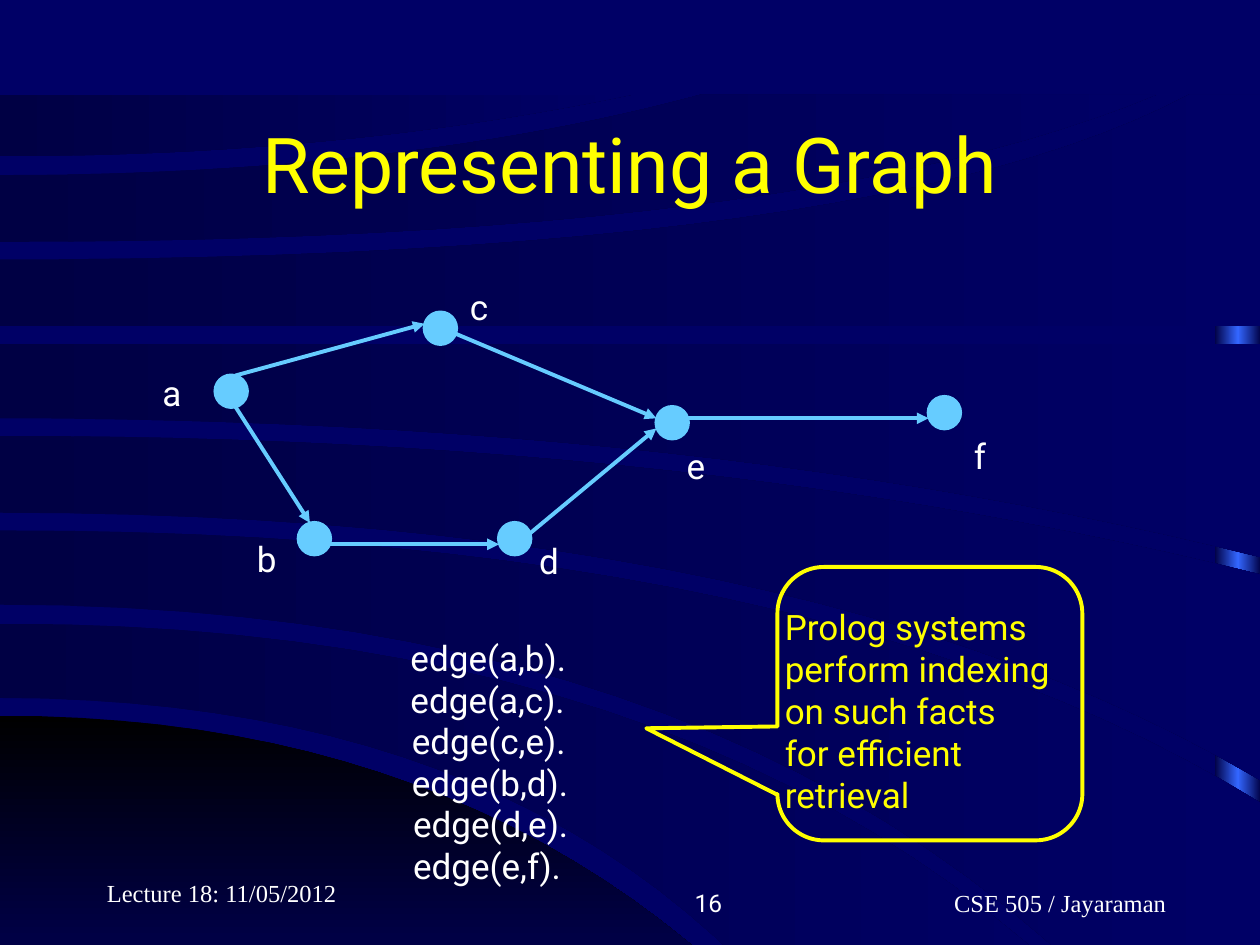
from lxml.etree import SubElement
from pptx import Presentation
from pptx.dml.color import RGBColor
from pptx.enum.shapes import MSO_CONNECTOR as Line, MSO_SHAPE as Shape
from pptx.enum.text import MSO_ANCHOR as Anchor, PP_ALIGN as Align
from pptx.oxml.ns import qn
from pptx.util import Inches, Pt

NAVY = RGBColor(0x00, 0x00, 0x66)
DARK = RGBColor(0x00, 0x00, 0x44)
BLUE = RGBColor(0x33, 0x66, 0xFF)
BLACK = RGBColor(0x00, 0x00, 0x00)
SKY = RGBColor(0x66, 0xCC, 0xFF)
YELLOW = RGBColor(0xFF, 0xFF, 0x00)
WHITE = RGBColor(0xFF, 0xFF, 0xFF)
SANS, SERIF = "Roboto", "Times New Roman"

deck = Presentation()
deck.slide_width, deck.slide_height = Inches(10), Inches(7.5)
slide = deck.slides.add_slide(deck.slide_layouts[5])
shapes = slide.shapes
slide.background.fill.solid()
slide.background.fill.fore_color.rgb = NAVY


def shade(shape, angle, *colors):
    """Fill with evenly spaced gradient stops and drop line and shadow."""
    shape.shadow.inherit = False
    shape.line.fill.background()
    shape.fill.gradient()
    shape.fill.gradient_angle = angle
    stops = shape._element.spPr.find(qn("a:gradFill")).find(qn("a:gsLst"))
    stops.clear()
    for i, color in enumerate(colors):
        stop = SubElement(stops, qn("a:gs"), pos=str(100000 * i // (len(colors) - 1)))
        SubElement(stop, qn("a:srgbClr"), val=str(color))


def write(box, lines, size=20, color=WHITE, font=SANS, align=Align.LEFT,
          anchor=Anchor.TOP, wrap=False):
    frame = box.text_frame
    frame.word_wrap = wrap
    frame.vertical_anchor = anchor
    for i, line in enumerate(lines):
        par = frame.add_paragraph() if i else frame.paragraphs[0]
        par.alignment = align
        run = par.add_run()
        run.text = line
        run.font.size = Pt(size)
        run.font.name = font
        run.font.color.rgb = color


# Backdrop: a glowing strip behind sweeping bands
strip = shapes.add_shape(Shape.RECTANGLE, Inches(9.64), Inches(0.77), Inches(0.37), Inches(7.5))
shade(strip, 0, DARK, BLUE, DARK)

# Top and bottom edge of each band, as quadratic curves that leave the
# left side level: start y, pull x, end x, end y
bands = [
    ((5.68, 3.94, 6.29, 8.27), (8.27, 3, 6.29, 8.27)),
    ((4.95, 5.9, 8.94, 8.25), (5.54, 4.3, 6.43, 8.25)),
    ((4.21, 6.5, 10, 6.37), (4.8, 6, 9.1, 8.25)),
    ((3.46, 5.6, 10, 4.56), (4.07, 6.4, 10, 6.19)),
    ((2.73, 5, 10, 2.73), (3.32, 5.6, 10, 4.42)),
    ((2.06, 7, 9.44, 0.75), (2.59, 5, 10, 2.59)),
    ((1.39, 3.2, 5.57, 0.75), (1.92, 6.4, 9.18, 0.75)),
    ((0.75, 2.5, 5.02, 0.75), (1.24, 2.7, 5.02, 0.75)),
]
STEPS = 24
for i, band in enumerate(bands):
    top, base = [
        [(2 * t * (1 - t) * pull + t * t * end, y + t * t * (stop - y))
         for t in (n / STEPS for n in range(STEPS + 1))]
        for y, pull, end, stop in band
    ]
    # The outer corner is level with the end of the shorter edge
    (right, high), (reach, low) = top[-1], base[-1]
    corner = (max(right, reach), low if right > reach else high)
    points = [(Inches(x), Inches(y)) for x, y in top + [corner] + base[::-1]]
    pen = shapes.build_freeform(*points[0])
    pen.add_line_segments(points[1:], close=True)
    if i == 0:
        shade(pen.convert_to_shape(), 270, BLACK, NAVY)
    else:
        shade(pen.convert_to_shape(), 0, DARK, NAVY)

# Title, brought in front of the backdrop
title = shapes.title
shapes._spTree.append(title._element)
title.left, title.top, title.width, title.height = (
    Inches(0.75), Inches(0.67), Inches(8.5), Inches(1.25))
write(title, ["Representing a Graph"], 44, YELLOW, align=Align.CENTER,
      anchor=Anchor.MIDDLE, wrap=True)

# Graph: name, node corner, label corner
nodes = [
    ("a", 1.71, 2.98, 1.19, 2.9),
    ("b", 2.37, 4.15, 1.94, 4.22),
    ("d", 3.96, 4.15, 4.18, 4.23),
    ("e", 5.21, 3.23, 5.35, 3.48),
    ("f", 7.37, 3.15, 7.63, 3.4),
    ("c", 3.37, 2.48, 3.63, 2.22),
]
for name, x, y, left, top in nodes:
    dot = shapes.add_shape(Shape.OVAL, Inches(x), Inches(y), Inches(0.25), Inches(0.25))
    dot.shadow.inherit = False
    dot.fill.solid()
    dot.fill.fore_color.rgb = dot.line.color.rgb = SKY
    dot.line.width = Pt(2.25)
    write(shapes.add_textbox(Inches(left), Inches(top), Inches(0.35), Inches(0.44)), [name])

edges = [
    (1.87, 2.98, 3.37, 2.57), (3.62, 2.65, 5.21, 3.32), (5.46, 3.32, 7.37, 3.32),
    (1.87, 3.23, 2.46, 4.15), (2.62, 4.32, 3.96, 4.32), (4.21, 4.23, 5.21, 3.4),
]
for edge in edges:
    arrow = shapes.add_connector(Line.STRAIGHT, *map(Inches, edge))
    arrow.line.color.rgb = SKY
    arrow.line.width = Pt(2.25)
    SubElement(arrow.line._get_or_add_ln(), qn("a:tailEnd"), type="triangle")
    SubElement(arrow._element.spPr, qn("a:effectLst"))

# Facts
facts = [
    ("edge(a,b).", "edge(a,c)."),
    ("edge(c,e).", "edge(b,d)."),
    ("edge(d,e).", "edge(e,f)."),
]
for i, pair in enumerate(facts):
    write(shapes.add_textbox(Inches(3.16 + 0.01 * i), Inches(5 + 0.66 * i),
                             Inches(1.5), Inches(0.77)), pair)

# Callout
bubble = shapes.add_shape(Shape.ROUNDED_RECTANGULAR_CALLOUT, Inches(6.17), Inches(4.5),
                          Inches(2.42), Inches(2.17))
bubble.shadow.inherit = False
bubble.fill.background()
bubble.line.color.rgb = YELLOW
bubble.line.width = Pt(2.25)
for i, value in enumerate((-0.93, 0.09, 0.17)):
    bubble.adjustments[i] = value
write(shapes.add_textbox(Inches(6.13), Inches(4.76), Inches(2.49), Inches(1.77)),
      ["Prolog systems", "perform indexing", "on such facts", "for efficient", "retrieval"],
      color=YELLOW)

# Footer
footer = [
    ("Lecture 18: 11/05/2012", 0.75, 6.75, 2.08, SERIF, Align.LEFT),
    ("16", 3.75, 6.83, 2.08, SANS, Align.RIGHT),
    ("\tCSE 505 / Jayaraman", 6.58, 6.83, 3.17, SERIF, Align.CENTER),
]
for text, x, y, width, font, align in footer:
    box = shapes.add_textbox(Inches(x), Inches(y), Inches(width), Inches(0.5))
    write(box, [text], 14, font=font, align=align, anchor=Anchor.BOTTOM, wrap=True)

deck.save("out.pptx")
